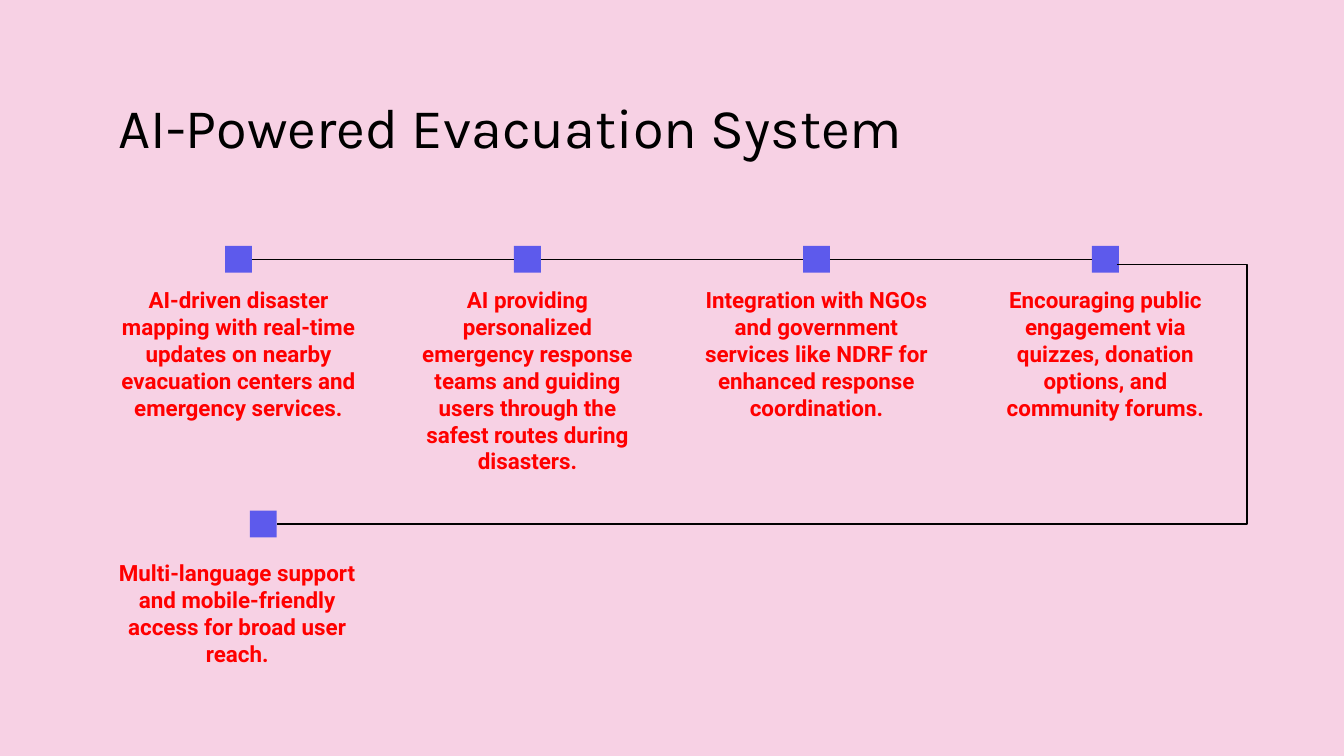
from lxml import etree
from pptx import Presentation
from pptx.dml.color import RGBColor
from pptx.enum import shapes, text
from pptx.oxml import ns
from pptx.util import Inches, Pt

# Content
HEADING = "AI-Powered Evacuation System"
TOP_STEPS = [
    "AI-driven disaster mapping with real-time updates on nearby evacuation centers and emergency services.",
    "AI providing personalized emergency response teams and guiding users through the safest routes during disasters.",
    "Integration with NGOs and government services like NDRF for enhanced response coordination.",
    "Encouraging public engagement via quizzes, donation options, and community forums.",
]
LAST_STEP = "Multi-language support and mobile-friendly access for broad user reach."

PINK = RGBColor(0xF7, 0xD1, 0xE4)
RED = RGBColor(0xFF, 0x00, 0x00)
BLUE = RGBColor(0x5D, 0x5A, 0xEC)
BLACK = RGBColor(0x00, 0x00, 0x00)

# Grid, in inches
LEFT, PITCH, STEP_W, STEP_H = 0.78, 2.15, 1.99, 0.98
MARK = 0.2
TOP_Y, TOP_TEXT_Y = 1.93, 2.03
LAST_X, LAST_Y = 1.96, 3.9
LAST_TEXT_X, LAST_TEXT_Y = 0.77, 4.06
BEND_START, BEND_END = 8.31, 2.06
TURN_X, TURN_Y = 9.28, 1.97

# Slide in 16:9
prs = Presentation()
prs.slide_width = Inches(10)
prs.slide_height = prs.slide_width * 9 // 16
slide = prs.slides.add_slide(prs.slide_layouts[5])
slide.background.fill.solid()
slide.background.fill.fore_color.rgb = PINK


def write(holder, words, *, font, size, color, bold=False, align=text.PP_ALIGN.LEFT):
    frame = holder.text_frame
    frame.word_wrap = True
    frame.auto_size = text.MSO_AUTO_SIZE.NONE
    frame.vertical_anchor = text.MSO_ANCHOR.TOP
    frame.margin_left = frame.margin_right = Inches(0.1)
    frame.margin_top = frame.margin_bottom = Inches(0.1)
    paragraph = frame.paragraphs[0]
    paragraph.alignment = align
    run = paragraph.add_run()
    run.text = words
    run.font.name, run.font.size, run.font.bold = font, Pt(size), bold
    run.font.color.rgb = color


def add_step(words, x, y):
    step = slide.shapes.add_textbox(Inches(x), Inches(y), Inches(STEP_W), Inches(STEP_H))
    write(step, words, font="Roboto", size=12, color=RED, bold=True,
          align=text.PP_ALIGN.CENTER)


def add_marker(x, y):
    marker = slide.shapes.add_shape(
        shapes.MSO_SHAPE.RECTANGLE, Inches(x - MARK / 2), Inches(y - MARK / 2),
        Inches(MARK), Inches(MARK))
    marker.shadow.inherit = False
    marker.fill.solid()
    marker.fill.fore_color.rgb = BLUE
    marker.line.fill.background()


def add_link(kind, x1, y1, x2, y2):
    link = slide.shapes.add_connector(kind, Inches(x1), Inches(y1), Inches(x2), Inches(y2))
    link.line.color.rgb = BLACK
    link.line.width = Pt(0.75)
    etree.SubElement(link._element.spPr, ns.qn("a:effectLst"))
    return link


# Title
title = slide.shapes.title
title.left, title.top = Inches(LEFT), Inches(0.59)
title.width, title.height = Inches(8.44), Inches(0.7)
write(title, HEADING, font="Karla", size=30, color=BLACK)

# Step texts
columns = [LEFT + i * PITCH for i in range(len(TOP_STEPS))]
for words, column in zip(TOP_STEPS, columns):
    add_step(words, column, TOP_TEXT_Y)
add_step(LAST_STEP, LAST_TEXT_X, LAST_TEXT_Y)

# Markers
centers = [column + STEP_W / 2 for column in columns]
for center in centers:
    add_marker(center, TOP_Y)
add_marker(LAST_X, LAST_Y)

# Straight links along the top row
for start, end in zip(centers, centers[1:]):
    add_link(shapes.MSO_CONNECTOR.STRAIGHT, start + MARK / 2, TOP_Y, end - MARK / 2, TOP_Y)

# Bent link from the top row round to the last step
bend = add_link(shapes.MSO_CONNECTOR.ELBOW, BEND_START, TURN_Y, BEND_END, LAST_Y)
ratio = (BEND_START - TURN_X) / (BEND_START - BEND_END)
guides = bend._element.spPr.find(ns.qn("a:prstGeom")).get_or_add_avLst() \
    if hasattr(bend._element.spPr.find(ns.qn("a:prstGeom")), "get_or_add_avLst") \
    else bend._element.spPr.find(ns.qn("a:prstGeom")).find(ns.qn("a:avLst"))
etree.SubElement(guides, ns.qn("a:gd"), name="adj1", fmla=f"val {round(ratio * 100000)}")

prs.save("out.pptx")
